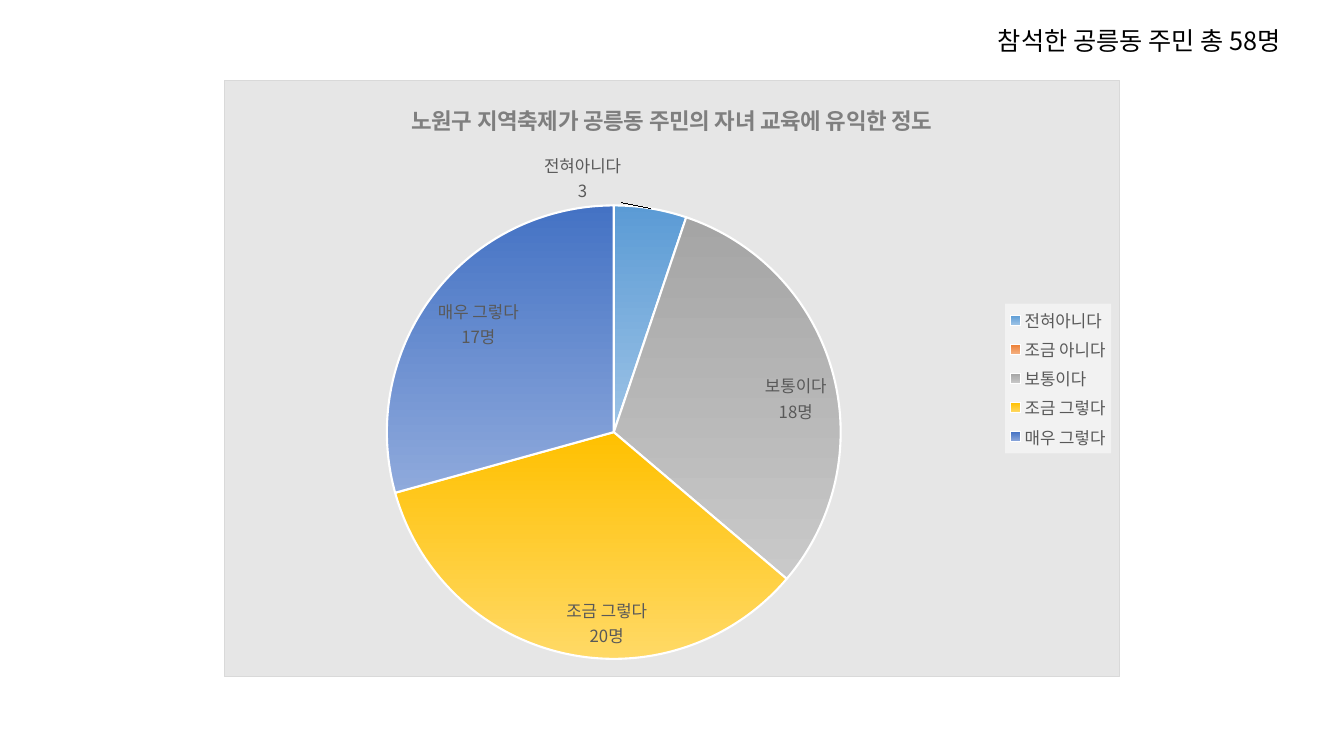
from lxml import etree
from pptx import Presentation
from pptx.chart.data import CategoryChartData
from pptx.dml.color import RGBColor
from pptx.enum.chart import XL_CHART_TYPE, XL_LABEL_POSITION as LABEL_AT, XL_LEGEND_POSITION
from pptx.enum.text import MSO_AUTO_SIZE
from pptx.oxml import parse_xml
from pptx.oxml.ns import nsdecls, qn
from pptx.util import Inches, Pt

FONT = "Noto Sans CJK KR"
BLACK = RGBColor(0x00, 0x00, 0x00)
WHITE = RGBColor(0xFF, 0xFF, 0xFF)
TITLE_GRAY = RGBColor(0x7F, 0x7F, 0x7F)
TEXT_GRAY = RGBColor(0x59, 0x59, 0x59)

# Answer, count, gradient top, gradient bottom
ANSWERS = [
    ("전혀아니다", 3, RGBColor(0x5B, 0x9B, 0xD5), RGBColor(0x9D, 0xC3, 0xE6)),
    ("조금 아니다", None, RGBColor(0xED, 0x7D, 0x31), RGBColor(0xF4, 0xB1, 0x83)),
    ("보통이다", 18, RGBColor(0xA5, 0xA5, 0xA5), RGBColor(0xC9, 0xC9, 0xC9)),
    ("조금 그렇다", 20, RGBColor(0xFF, 0xC0, 0x00), RGBColor(0xFF, 0xD9, 0x66)),
    ("매우 그렇다", 17, RGBColor(0x44, 0x72, 0xC4), RGBColor(0x8F, 0xAA, 0xDC)),
]


def format_font(font, size=12, color=TEXT_GRAY, bold=False):
    font.name, font.size, font.bold = FONT, Pt(size), bold
    font.color.rgb = color


def manual_layout(**values):
    parts = "".join(f'<c:{name} val="{value}"/>' for name, value in values.items())
    return parse_xml(f'<c:layout {nsdecls("c")}><c:manualLayout>{parts}</c:manualLayout></c:layout>')


deck = Presentation()
deck.slide_width, deck.slide_height = Inches(13.33), Inches(7.5)
page = deck.slides.add_slide(deck.slide_layouts[6])

# Pie chart, two thirds of the slide wide
data = CategoryChartData()
data.categories = [answer[0] for answer in ANSWERS]
data.add_series("Series 1", [answer[1] for answer in ANSWERS])
chart_width = deck.slide_width * 2 // 3
frame = page.shapes.add_chart(
    XL_CHART_TYPE.PIE, (deck.slide_width - chart_width) // 2, Inches(0.79),
    chart_width, Inches(5.93), data)
chart = frame.chart
format_font(chart.font, 10, BLACK)

# Chart title
chart.has_title = True
title = chart.chart_title.text_frame
title.text = "노원구 지역축제가 공릉동 주민의 자녀 교육에 유익한 정도"
format_font(title.paragraphs[0].runs[0].font, 16, TITLE_GRAY, bold=True)

# Legend
chart.has_legend = True
chart.legend.position = XL_LEGEND_POSITION.RIGHT
chart.legend.include_in_layout = False
format_font(chart.legend.font)

# Slices and their labels
plot = chart.plots[0]
plot.vary_by_categories = True
series = plot.series[0]
labels = series.data_labels
labels.show_value = labels.show_category_name = True
labels.show_percentage = False
format_font(labels.font)
for index, (answer, count, top, bottom) in enumerate(ANSWERS):
    point = series.points[index]
    fill = point.format.fill
    fill.gradient()
    fill.gradient_angle = 270
    for stop, color, position in zip(fill.gradient_stops, (top, bottom), (0, 1)):
        stop.color.rgb, stop.position = color, position
    point.format.line.color.rgb = WHITE
    point.format.line.width = Pt(1.5)
    if count is None:
        continue
    label = point.data_label
    if index == 0:
        format_font(label.font)
        label.position = LABEL_AT.OUTSIDE_END
        continue
    label.text_frame.text = f"{answer}\n{count}명"
    for para in label.text_frame.paragraphs:
        format_font(para.runs[0].font)
    label.position = LABEL_AT.INSIDE_END

# First label shows category over value, moved left
space = chart.element
first_label = space.find(".//" + qn("c:dLbl"))
first_label.insert(1, manual_layout(x=-0.12, y=0))
first_label.find(qn("c:showCatName")).set("val", "1")
separator = etree.SubElement(first_label, qn("c:separator"))
separator.text = "\n"

# Pie position as shares of the chart
plot_area = space.find(".//" + qn("c:plotArea"))
for layout in plot_area.findall(qn("c:layout")):
    plot_area.remove(layout)
plot_area.insert(0, manual_layout(
    layoutTarget="inner", xMode="edge", yMode="edge", x=0.18, y=0.21, w=0.51, h=0.76))

# Striped chart background and half-clear legend background
space.find(qn("c:txPr")).addprevious(parse_xml(
    f'<c:spPr {nsdecls("c", "a")}><a:pattFill prst="dkDnDiag">'
    '<a:fgClr><a:srgbClr val="FFFFFF"><a:lumMod val="90000"/></a:srgbClr></a:fgClr>'
    '<a:bgClr><a:srgbClr val="E6E6E6"/></a:bgClr></a:pattFill>'
    '<a:ln w="9525"><a:solidFill><a:srgbClr val="D9D9D9"/></a:solidFill></a:ln></c:spPr>'))
space.find(f'.//{qn("c:legend")}/{qn("c:txPr")}').addprevious(parse_xml(
    f'<c:spPr {nsdecls("c", "a")}><a:solidFill><a:srgbClr val="FFFFFF">'
    '<a:alpha val="50000"/></a:srgbClr></a:solidFill></c:spPr>'))

# Number of residents
box = page.shapes.add_textbox(Inches(9.8), Inches(0.2), Inches(3.36), Inches(0.4))
box.text_frame.word_wrap = False
box.text_frame.auto_size = MSO_AUTO_SIZE.SHAPE_TO_FIT_TEXT
span = box.text_frame.paragraphs[0].add_run()
span.text = "참석한 공릉동 주민 총 58명"
format_font(span.font, 18, BLACK)

# Same typeface for Korean letters
for root in (space, box.element):
    for latin in list(root.iter(qn("a:latin"))):
        latin.addnext(parse_xml(f'<a:ea {nsdecls("a")} typeface="{FONT}"/>'))

deck.save("out.pptx")
